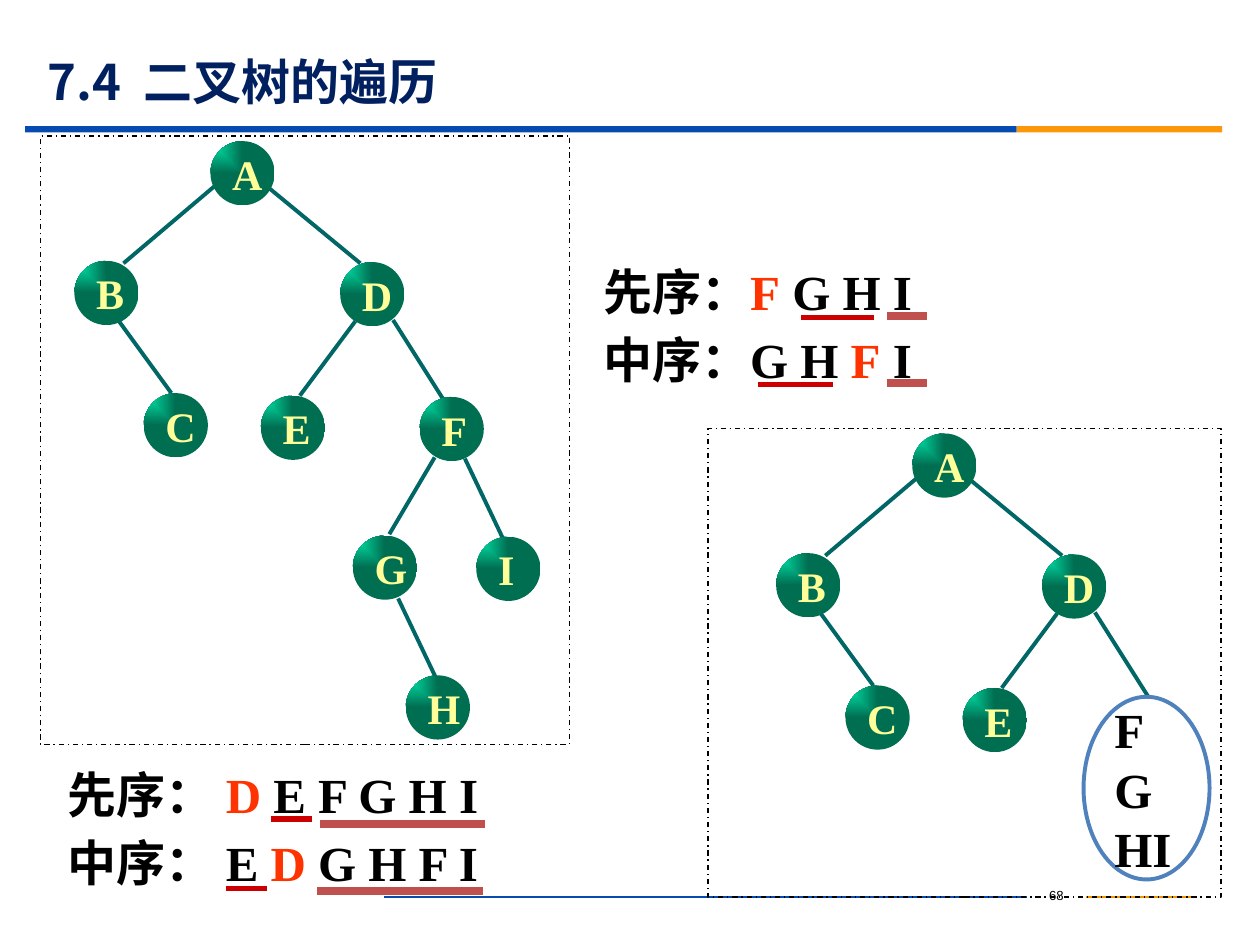
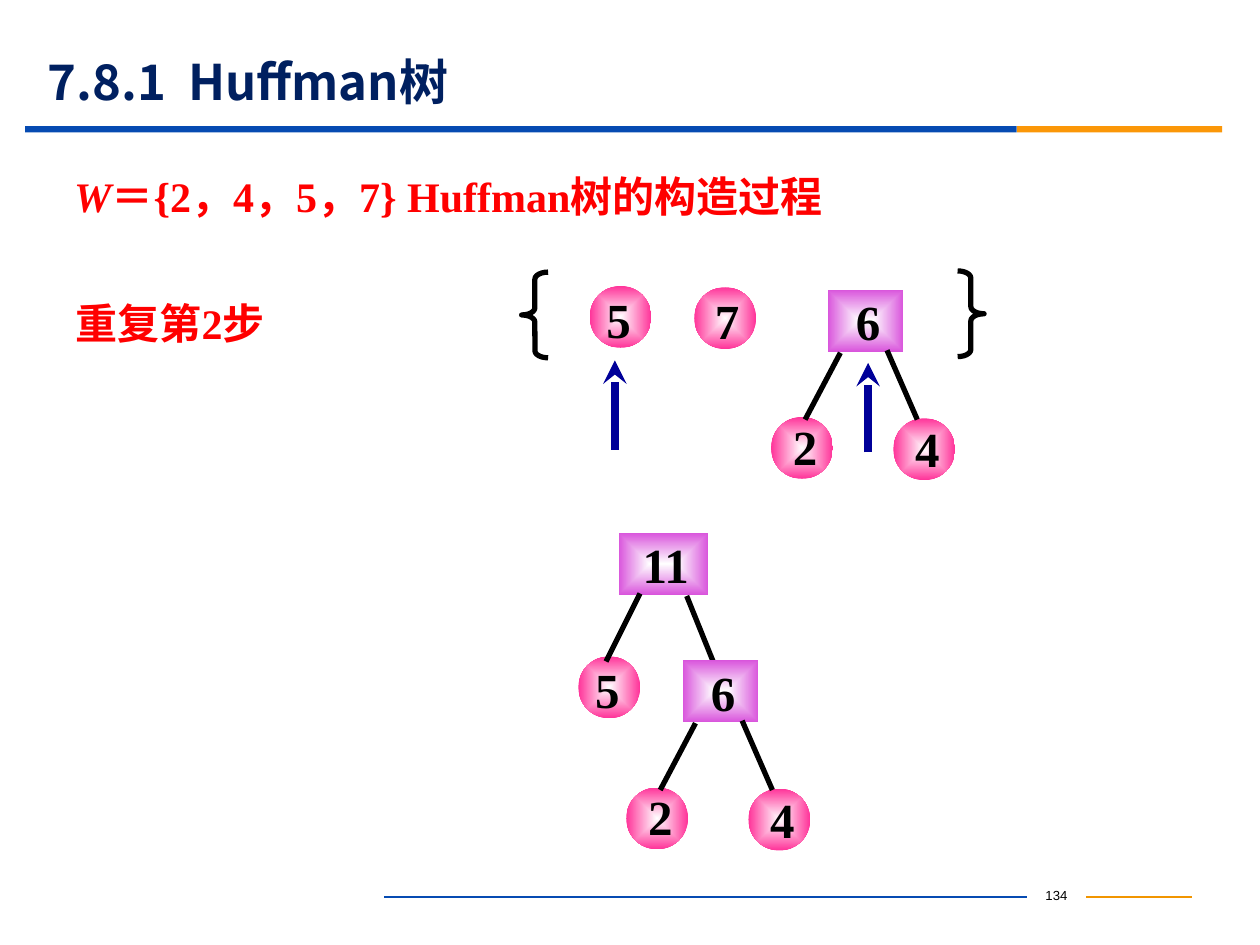
from dataclasses import dataclass
from typing import NamedTuple, Optional, Sequence

from lxml.etree import SubElement
from pptx import Presentation
from pptx.dml.color import RGBColor
from pptx.enum.dml import MSO_LINE
from pptx.enum.shapes import MSO_CONNECTOR, MSO_SHAPE
from pptx.enum.text import MSO_ANCHOR as Anchor, PP_ALIGN as Align
from pptx.oxml.ns import qn
from pptx.util import Emu, Pt

EMU_PER_PX = 9144

BLACK = RGBColor(0x00, 0x00, 0x00)
WHITE = RGBColor(0xFF, 0xFF, 0xFF)
NAVY = RGBColor(0x00, 0x20, 0x60)
BAND_BLUE = RGBColor(0x06, 0x4B, 0xB2)
BAND_ORANGE = RGBColor(0xFB, 0x97, 0x08)
FOOTER_ORANGE = RGBColor(0xF1, 0x95, 0x00)
ROOT_RED = RGBColor(0xFF, 0x33, 0x00)
LEFT_RED = RGBColor(0xCC, 0x00, 0x00)
RIGHT_RED = RGBColor(0xC0, 0x50, 0x4D)
TEXT_RED = RGBColor(0xFF, 0x00, 0x00)
EDGE_GREEN = RGBColor(0x00, 0x66, 0x66)
NODE_LIGHT = RGBColor(0x00, 0xEE, 0xB0)
NODE_DARK = RGBColor(0x00, 0x6E, 0x51)
NODE_TEXT = RGBColor(0xFF, 0xFF, 0x99)
GROUP_BLUE = RGBColor(0x4F, 0x81, 0xBD)
LEAF_PINK = RGBColor(0xFF, 0x33, 0x99)
SUM_PURPLE = RGBColor(0xD9, 0x55, 0xDC)
ARROW_BLUE = RGBColor(0x00, 0x00, 0x99)

SANS = "Noto Sans CJK SC"
SERIF = "Times New Roman"
LEADING = 1.22
CORNER = (0, 0, 100, 100)
CENTER = (50, 50, 50, 50)


class Run(NamedTuple):
    text: str
    color: Optional[RGBColor] = None
    italic: bool = False


class Box(NamedTuple):
    left: int
    top: int
    width: int
    height: int


class Edge(NamedTuple):
    x1: int
    y1: int
    x2: int
    y2: int


@dataclass(frozen=True)
class Node:
    label: str
    x: int
    y: int


@dataclass(frozen=True)
class Tree:
    nodes: Sequence[Node]
    edges: Sequence[Edge]


TOP_TREE = Tree(
    (Node("A", 167, 112), Node("B", 59, 207), Node("C", 114, 312),
     Node("D", 270, 208), Node("E", 207, 314)),
    (Edge(170, 148, 98, 209), Edge(212, 148, 286, 209), Edge(93, 253, 136, 312),
     Edge(282, 255, 238, 314), Edge(312, 254, 355, 322)),
)
F_TREE = Tree(
    (Node("F", 333, 315), Node("G", 280, 425), Node("H", 322, 536),
     Node("I", 378, 426)),
    (Edge(369, 364, 399, 427), Edge(345, 363, 309, 424), Edge(316, 475, 346, 538)),
)
NODE_SIZE = 51
LEAF_SIZE = 49
LEAF_LABEL_SHIFT = {"5": (2, 2), "7": (5, 2), "2": (6, -1), "4": (6, 0)}


def px(value: int) -> Emu:
    return Emu(value * EMU_PER_PX)


def write(shape, paragraphs: Sequence[Sequence[Run]], *, size: float,
          color: RGBColor = BLACK, font: str = SERIF, bold: bool = True,
          align=Align.LEFT, anchor=Anchor.TOP, insets=(10, 5, 10, 5),
          wrap: bool = True, space_before: int = 0, fixed: bool = True) -> None:
    frame = shape.text_frame
    frame.word_wrap = wrap
    frame.vertical_anchor = anchor
    (frame.margin_left, frame.margin_top,
     frame.margin_right, frame.margin_bottom) = map(px, insets)
    for index, runs in enumerate(paragraphs):
        paragraph = frame.add_paragraph() if index else frame.paragraphs[0]
        paragraph.alignment = align
        if fixed:
            paragraph.line_spacing = Pt(round(size * LEADING))
        if index and space_before:
            paragraph.space_before = Pt(space_before)
        for item in runs:
            run = paragraph.add_run()
            run.text = item.text
            run.font.size = Pt(size)
            run.font.bold = bold
            run.font.italic = item.italic
            run.font.name = font
            run.font.color.rgb = item.color or color
            SubElement(run.font._element, qn("a:ea"), typeface=SANS)


def add_text(slide, box: Box, paragraphs: Sequence[Sequence[Run]], **style):
    shape = slide.shapes.add_textbox(*map(px, box))
    write(shape, paragraphs, **style)
    return shape


def add_figure(slide, kind, box: Box, *, fill: Optional[RGBColor] = None,
               line: Optional[RGBColor] = None, width: float = 0.75, dash=None):
    shape = slide.shapes.add_shape(kind, *map(px, box))
    shape.shadow.inherit = False
    if fill is None:
        shape.fill.background()
    else:
        shape.fill.solid()
        shape.fill.fore_color.rgb = fill
    if line is None:
        shape.line.fill.background()
    else:
        shape.line.color.rgb = line
        shape.line.width = Pt(width)
        if dash is not None:
            shape.line.dash_style = dash
    return shape


def shade(shape, inner: RGBColor, outer: RGBColor, kind: str, focus) -> None:
    shape.fill.gradient()
    for stop, color, position in zip(shape.fill.gradient_stops, (inner, outer), (0, 1)):
        stop.color.rgb = color
        stop.position = position
    gradient = shape._element.spPr.find(qn("a:gradFill"))
    gradient.remove(gradient.find(qn("a:lin")))
    radial = SubElement(gradient, qn("a:path"), path=kind)
    sides = {side: str(value * 1000) for side, value in zip("ltrb", focus)}
    SubElement(radial, qn("a:fillToRect"), **sides)


def add_line(slide, edge: Edge, color: RGBColor, width: float, *,
             arrow: bool = False):
    connector = slide.shapes.add_connector(MSO_CONNECTOR.STRAIGHT, *map(px, edge))
    connector.line.color.rgb = color
    connector.line.width = Pt(width)
    properties = connector._element.spPr
    if arrow:
        SubElement(properties.find(qn("a:ln")), qn("a:tailEnd"), type="stealth")
    SubElement(properties, qn("a:effectLst"))
    return connector


def add_base(presentation, title: str, number: int):
    slide = presentation.slides.add_slide(presentation.slide_layouts[6])
    page = add_text(slide, Box(815, 699, 47, 26), [[Run(str(number))]], size=7.5,
                    font="Arial", bold=False, align=Align.CENTER)
    right_rule = add_line(slide, Edge(862, 712, 946, 712), FOOTER_ORANGE, 0.75)
    right_rule.begin_connect(page, 3)
    left_rule = add_line(slide, Edge(305, 712, 815, 712), BAND_BLUE, 0.75)
    left_rule.end_connect(page, 1)
    add_figure(slide, MSO_SHAPE.RECTANGLE, Box(20, 100, 787, 5), fill=BAND_BLUE)
    add_figure(slide, MSO_SHAPE.RECTANGLE, Box(807, 100, 163, 5), fill=BAND_ORANGE)
    add_text(slide, Box(28, 43, 900, 43), [[Run(title)]], size=28, color=NAVY,
             font=SANS, anchor=Anchor.MIDDLE, fixed=False)
    return slide


def add_frame(slide, box: Box) -> None:
    add_figure(slide, MSO_SHAPE.RECTANGLE, box, line=BLACK, dash=MSO_LINE.DASH_DOT)


def add_tree(slide, tree: Tree, dx: int = 0, dy: int = 0) -> None:
    for x1, y1, x2, y2 in tree.edges:
        add_line(slide, Edge(x1 + dx, y1 + dy, x2 + dx, y2 + dy), EDGE_GREEN, 2.25)
    for node in tree.nodes:
        box = Box(node.x + dx, node.y + dy, NODE_SIZE, NODE_SIZE)
        circle = add_figure(slide, MSO_SHAPE.OVAL, box)
        shade(circle, NODE_LIGHT, NODE_DARK, "rect", CORNER)
        write(circle, [[Run(node.label)]], size=24, color=NODE_TEXT,
              anchor=Anchor.MIDDLE, wrap=False)


def add_leaf(slide, leaf: Node) -> None:
    circle = add_figure(slide, MSO_SHAPE.OVAL, Box(leaf.x, leaf.y, LEAF_SIZE, LEAF_SIZE))
    shade(circle, WHITE, LEAF_PINK, "shape", CENTER)
    dx, dy = LEAF_LABEL_SHIFT[leaf.label]
    add_text(slide, Box(leaf.x + dx, leaf.y + dy, 42, 57), [[Run(leaf.label)]],
             size=28, align=Align.CENTER, insets=(0, 0, 0, 0))


def add_sum(slide, label: str, box: Box) -> None:
    square = add_figure(slide, MSO_SHAPE.RECTANGLE, box)
    shade(square, WHITE, SUM_PURPLE, "shape", CENTER)
    write(square, [[Run(label)]], size=28, align=Align.CENTER, insets=(10, 1, 6, 1))


def add_six_tree(slide, x: int, y: int) -> None:
    add_leaf(slide, Node("2", x - 45, y + 101))
    add_leaf(slide, Node("4", x + 52, y + 102))
    add_sum(slide, "6", Box(x, y, 60, 49))
    add_line(slide, Edge(x + 10, y + 50, x - 18, y + 103), BLACK, 3)
    add_line(slide, Edge(x + 47, y + 48, x + 71, y + 103), BLACK, 3)


def build_traversal(presentation) -> None:
    slide = add_base(presentation, "7.4  二叉树的遍历", 68)
    add_text(slide, Box(469, 202, 475, 113), [
        [Run("先序："), Run("F", ROOT_RED), Run(" G H I")],
        [Run("中序："), Run("G H "), Run("F", ROOT_RED), Run(" I")],
    ], size=28, space_before=5)
    add_text(slide, Box(44, 601, 475, 113), [
        [Run("先序： "), Run("D", ROOT_RED), Run(" E F G H I")],
        [Run("中序： E "), Run("D", ROOT_RED), Run(" G H F I")],
    ], size=28, space_before=5)
    for left, right, y in ((636, 694, 252), (602, 661, 305),
                           (215, 248, 650), (179, 212, 705)):
        add_line(slide, Edge(left, y, right, y), LEFT_RED, 3)
    for left, right, y in ((704, 736, 251), (704, 736, 304),
                           (254, 385, 654), (252, 383, 707)):
        add_line(slide, Edge(left, y, right, y), RIGHT_RED, 4.5)

    add_frame(slide, Box(562, 340, 407, 372))
    add_tree(slide, TOP_TREE, 557, 232)
    pending = add_figure(slide, MSO_SHAPE.OVAL, Box(860, 553, 100, 145),
                         line=GROUP_BLUE, width=2.25)
    write(pending, [[Run("FG")], [Run("HI")]], size=28, anchor=Anchor.MIDDLE)

    add_frame(slide, Box(32, 108, 420, 483))
    add_tree(slide, TOP_TREE)
    add_tree(slide, F_TREE)


def build_huffman(presentation) -> None:
    slide = add_base(presentation, "7.8.1  Huffman树", 134)
    add_text(slide, Box(49, 130, 645, 51),
             [[Run("W", italic=True), Run("＝{2，4，5，7} Huffman树的构造过程")]],
             size=24, color=TEXT_RED)
    add_text(slide, Box(60, 236, 185, 43), [[Run("重复第2步")]], size=24,
             color=TEXT_RED, insets=(0, 0, 0, 0))
    for leaf in (Node("5", 468, 227), Node("7", 551, 228), Node("5", 459, 521)):
        add_leaf(slide, leaf)
    for left, top, rotation in ((414, 216, 0), (760, 215, 180)):
        brace = add_figure(slide, MSO_SHAPE.LEFT_BRACE, Box(left, top, 21, 68),
                           line=BLACK, width=3)
        brace.adjustments[0] = 0.27
        brace.rotation = rotation
    for x, y in ((689, 359), (488, 357)):
        add_line(slide, Edge(x, y, x, y - 71), ARROW_BLUE, 4.5, arrow=True)
    add_sum(slide, "11", Box(491, 423, 71, 49))
    add_line(slide, Edge(508, 471, 481, 525), BLACK, 3)
    add_line(slide, Edge(545, 473, 566, 525), BLACK, 3)
    add_six_tree(slide, 657, 230)
    add_six_tree(slide, 542, 524)


def main() -> None:
    presentation = Presentation()
    presentation.slide_width = px(1000)
    presentation.slide_height = px(750)
    build_traversal(presentation)
    build_huffman(presentation)
    presentation.save("out.pptx")


if __name__ == "__main__":
    main()
